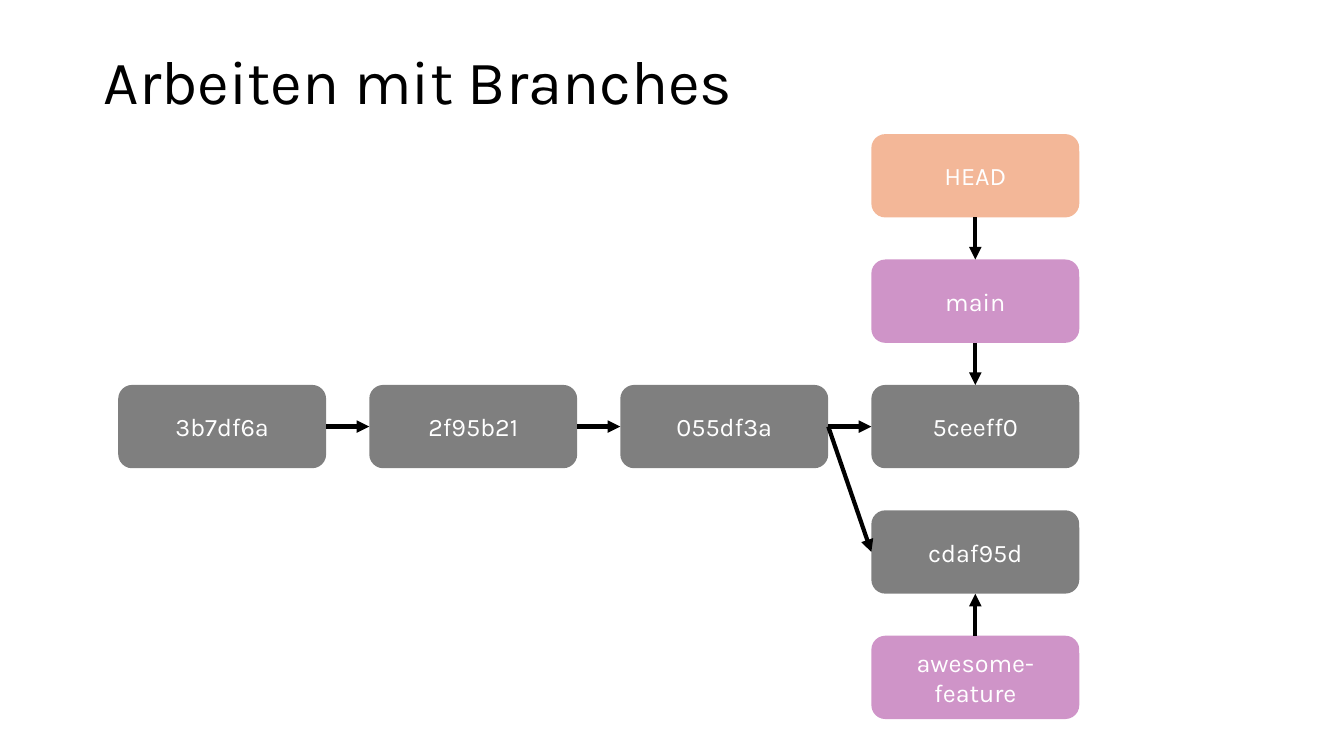
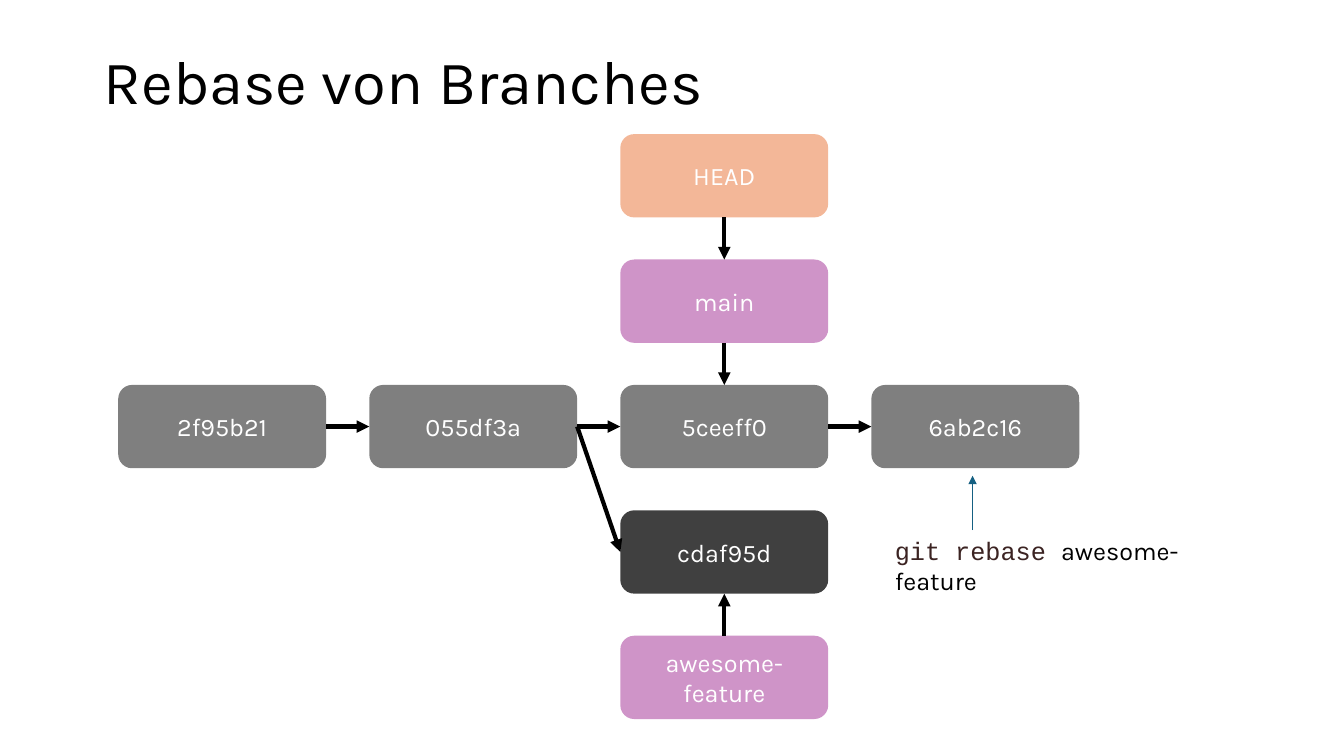
import dataclasses

import lxml.etree
import pptx
import pptx.dml.color
import pptx.enum.shapes
import pptx.enum.text
import pptx.oxml.ns
import pptx.util

Cm = pptx.util.Cm
Pt = pptx.util.Pt
qn = pptx.oxml.ns.qn
TOP, LEFT, BOTTOM, RIGHT = range(4)


@dataclasses.dataclass(frozen=True)
class Theme:
    font: str = "Karla"
    code_font: str = "Courier New"
    title_size: int = 44
    body_size: int = 18
    ink: str = "000000"
    paper: str = "FFFFFF"
    branch: str = "A02B93"
    head: str = "E97132"
    code: str = "3B2322"
    pointer: str = "156082"
    soft: int = 50
    strong: int = 75
    arrow_width: int = 3
    pointer_width: int = 1


@dataclasses.dataclass(frozen=True)
class Box:
    left: float
    top: float
    width: float
    height: float

    def lengths(self):
        return [Cm(value) for value in dataclasses.astuple(self)]


THEME = Theme()
TITLE_BOX = Box(2.36, 0.3, 29.21, 3.68)
GRAPH_BOX = Box(2.98, 3.38, 24.22, 14.74)
CAPTION_BOX = Box(22.3, 13.36, 9.3, 1.02)
COLUMNS, ROWS = 4, 5
NODE_WIDTH, NODE_HEIGHT = 5.24, 2.1

COMMIT = (THEME.ink, THEME.soft)
REPLACED = (THEME.ink, THEME.strong)
BRANCH = (THEME.branch, THEME.soft)
HEAD = (THEME.head, THEME.soft)


def rgb(color):
    return pptx.dml.color.RGBColor.from_string(color)


def add_run(paragraph, text, size, color, font=THEME.font):
    run = paragraph.add_run()
    run.text = text
    run.font.name = font
    run.font.size = Pt(size)
    run.font.color.rgb = rgb(color)


def add_title(slide, text):
    title = slide.shapes.title
    title.left, title.top, title.width, title.height = TITLE_BOX.lengths()
    frame = title.text_frame
    frame.auto_size = pptx.enum.text.MSO_AUTO_SIZE.NONE
    frame.vertical_anchor = pptx.enum.text.MSO_ANCHOR.MIDDLE
    paragraph = frame.paragraphs[0]
    paragraph.alignment = pptx.enum.text.PP_ALIGN.LEFT
    paragraph.line_spacing = 0.9
    add_run(paragraph, text, THEME.title_size, THEME.ink)


def add_node(slide, box, label, color, opacity):
    node = slide.shapes.add_shape(
        pptx.enum.shapes.MSO_SHAPE.ROUNDED_RECTANGLE, *box.lengths())
    node.shadow.inherit = False
    node.line.fill.background()
    node.fill.solid()
    node.fill.fore_color.rgb = rgb(color)
    fill_color = node._element.spPr.find(qn("a:solidFill")).find(qn("a:srgbClr"))
    lxml.etree.SubElement(fill_color, qn("a:alpha"), val=str(opacity * 1000))
    frame = node.text_frame
    frame.word_wrap = True
    frame.vertical_anchor = pptx.enum.text.MSO_ANCHOR.MIDDLE
    paragraph = frame.paragraphs[0]
    paragraph.alignment = pptx.enum.text.PP_ALIGN.CENTER
    add_run(paragraph, label, THEME.body_size, THEME.paper)
    return node


def add_arrow(slide, start=(0, 0), end=(0, 0), color=THEME.ink, width=THEME.arrow_width):
    arrow = slide.shapes.add_connector(
        pptx.enum.shapes.MSO_CONNECTOR.STRAIGHT,
        *[Cm(value) for value in (*start, *end)])
    arrow.line.color.rgb = rgb(color)
    arrow.line.width = Pt(width)
    properties = arrow._element.spPr
    lxml.etree.SubElement(properties.find(qn("a:ln")), qn("a:tailEnd"), type="triangle")
    lxml.etree.SubElement(properties, qn("a:effectLst"))
    return arrow


def add_graph(slide, box, commits, tip, side_style):
    """Place the commit row, with the branches above and below column tip."""
    column_step = (box.width - NODE_WIDTH) / (COLUMNS - 1)
    row_step = (box.height - NODE_HEIGHT) / (ROWS - 1)

    def place(column, row, label, style):
        node_box = Box(box.left + column * column_step, box.top + row * row_step,
                       NODE_WIDTH, NODE_HEIGHT)
        return add_node(slide, node_box, label, *style)

    def link(source, source_side, target, target_side):
        arrow = add_arrow(slide)
        arrow.begin_connect(source, source_side)
        arrow.end_connect(target, target_side)

    history = [place(column, 2, label, COMMIT) for column, label in enumerate(commits)]
    head = place(tip, 0, "HEAD", HEAD)
    main_branch = place(tip, 1, "main", BRANCH)
    side_commit = place(tip, 3, "cdaf95d", side_style)
    feature = place(tip, 4, "awesome-feature", BRANCH)

    for parent, child in zip(history, history[1:]):
        link(parent, RIGHT, child, LEFT)
    link(history[tip - 1], RIGHT, side_commit, LEFT)
    link(head, BOTTOM, main_branch, TOP)
    link(main_branch, BOTTOM, history[tip], TOP)
    link(feature, TOP, side_commit, BOTTOM)


def add_caption(slide, box):
    caption = slide.shapes.add_textbox(*box.lengths())
    caption.text_frame.word_wrap = True
    paragraph = caption.text_frame.paragraphs[0]
    add_run(paragraph, "git rebase ", THEME.body_size, THEME.code, THEME.code_font)
    add_run(paragraph, "awesome-feature", THEME.body_size, THEME.ink)
    pointer_x = box.left + 2.21
    add_arrow(slide, (pointer_x, box.top), (pointer_x, box.top - 1.37),
              THEME.pointer, THEME.pointer_width)


def add_graph_slide(deck, title, commits, tip, side_style=COMMIT):
    slide = deck.slides.add_slide(deck.slide_layouts.get_by_name("Title Only"))
    add_title(slide, title)
    add_graph(slide, GRAPH_BOX, commits, tip, side_style)
    return slide


def main():
    deck = pptx.Presentation()
    deck.slide_width, deck.slide_height = Cm(33.87), Cm(19.05)
    add_graph_slide(deck, "Arbeiten mit Branches",
                    ["3b7df6a", "2f95b21", "055df3a", "5ceeff0"], tip=3)
    rebase = add_graph_slide(deck, "Rebase von Branches",
                             ["2f95b21", "055df3a", "5ceeff0", "6ab2c16"],
                             tip=2, side_style=REPLACED)
    add_caption(rebase, CAPTION_BOX)
    deck.save("out.pptx")


if __name__ == "__main__":
    main()
